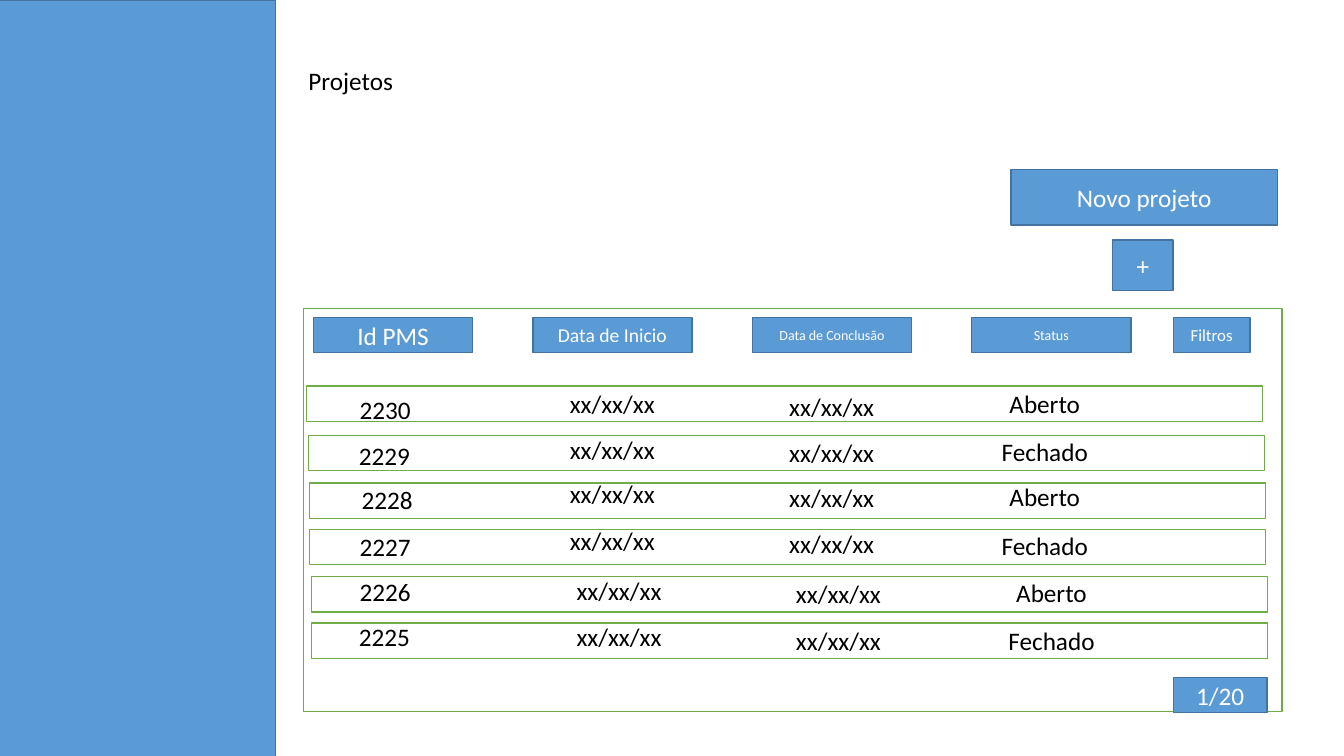
from pptx import Presentation
from pptx.dml.color import RGBColor
from pptx.enum.shapes import MSO_SHAPE
from pptx.enum.text import MSO_ANCHOR, MSO_AUTO_SIZE, PP_ALIGN
from pptx.util import Cm, Pt

COLORS = {
    "blue": "5B9BD5",
    "blue_line": "43739E",
    "green": "70AD47",
    "white": "FFFFFF",
    "black": "000000",
}


def write_text(shape, text, size=18, color="black", align=PP_ALIGN.CENTER,
               anchor=MSO_ANCHOR.TOP):
    frame = shape.text_frame
    frame.word_wrap = True
    frame.auto_size = MSO_AUTO_SIZE.NONE
    frame.vertical_anchor = anchor
    paragraph = frame.paragraphs[0]
    paragraph.alignment = align
    run = paragraph.add_run()
    run.text = text
    run.font.name = "Calibri"
    run.font.size = Pt(size)
    run.font.color.rgb = RGBColor.from_string(COLORS[color])


def add_box(left, top, width, height, fill="blue", line="blue_line", text="", size=18):
    shape = slide.shapes.add_shape(
        MSO_SHAPE.RECTANGLE, Cm(left), Cm(top), Cm(width), Cm(height))
    shape.shadow.inherit = False
    shape.fill.solid()
    shape.fill.fore_color.rgb = RGBColor.from_string(COLORS[fill])
    shape.line.color.rgb = RGBColor.from_string(COLORS[line])
    shape.line.width = Pt(1)
    if text:
        write_text(shape, text, size=size, color="white", anchor=MSO_ANCHOR.MIDDLE)


presentation = Presentation()
presentation.slide_width = Cm(33.87)
presentation.slide_height = Cm(19.05)
slide = presentation.slides.add_slide(presentation.slide_layouts[5])

# Sidebar and title
add_box(-0.1, 0, 7.04, 19.07)
title = slide.shapes.title
title.left, title.top, title.width, title.height = Cm(7.52), Cm(1.52), Cm(12.27), Cm(1.03)
write_text(title, "Projetos", align=PP_ALIGN.LEFT)

# Project list frame
add_box(7.65, 7.77, 24.66, 10.16, fill="white", line="green")

# Column headers and filter button
headers = [("Id PMS", 18), ("Data de Inicio", 14), ("Data de Conclusão", 10), ("Status", 10)]
for column, (header, size) in enumerate(headers):
    add_box(7.9 + column * 5.53, 8, 4.01, 0.89, text=header, size=size)
add_box(29.57, 8, 1.93, 0.89, text="Filtros", size=12)

# Row outlines: left, top
row_outlines = [(7.72, 9.73), (7.77, 10.97), (7.8, 12.17),
                (7.8, 13.34), (7.85, 14.53), (7.85, 15.7)]
for left, top in row_outlines:
    add_box(left, top, 24.1, 0.89, fill="white", line="green")

# Row values: id left, then the tops of the id, start date and status
rows = [
    (7.87, 9.8, 9.65, 9.65),
    (7.85, 10.97, 10.82, 10.87),
    (7.92, 12.09, 11.94, 12.01),
    (7.87, 13.26, 13.11, 13.23),
    (7.87, 14.4, 14.38, 14.43),
    (7.85, 15.54, 15.54, 15.62),
]
for index, (id_left, id_top, date_top, status_top) in enumerate(rows):
    shift = 0.17 if index >= 4 else 0
    cells = [
        (str(2230 - index), id_left, id_top),
        ("xx/xx/xx", 13.59 + shift, date_top),
        ("xx/xx/xx", 19.12 + shift, date_top + 0.08),
        ("Fechado" if index % 2 else "Aberto", 24.49 + shift, status_top),
    ]
    for value, left, top in cells:
        cell = slide.shapes.add_textbox(Cm(left), Cm(top), Cm(3.68), Cm(1.03))
        write_text(cell, value)

# Page counter and new project buttons
add_box(29.57, 17.07, 2.36, 0.89, text="1/20")
add_box(28.04, 6.05, 1.52, 1.27, text="+")
add_box(25.48, 4.27, 6.71, 1.4, text="Novo projeto")

presentation.save("out.pptx")
